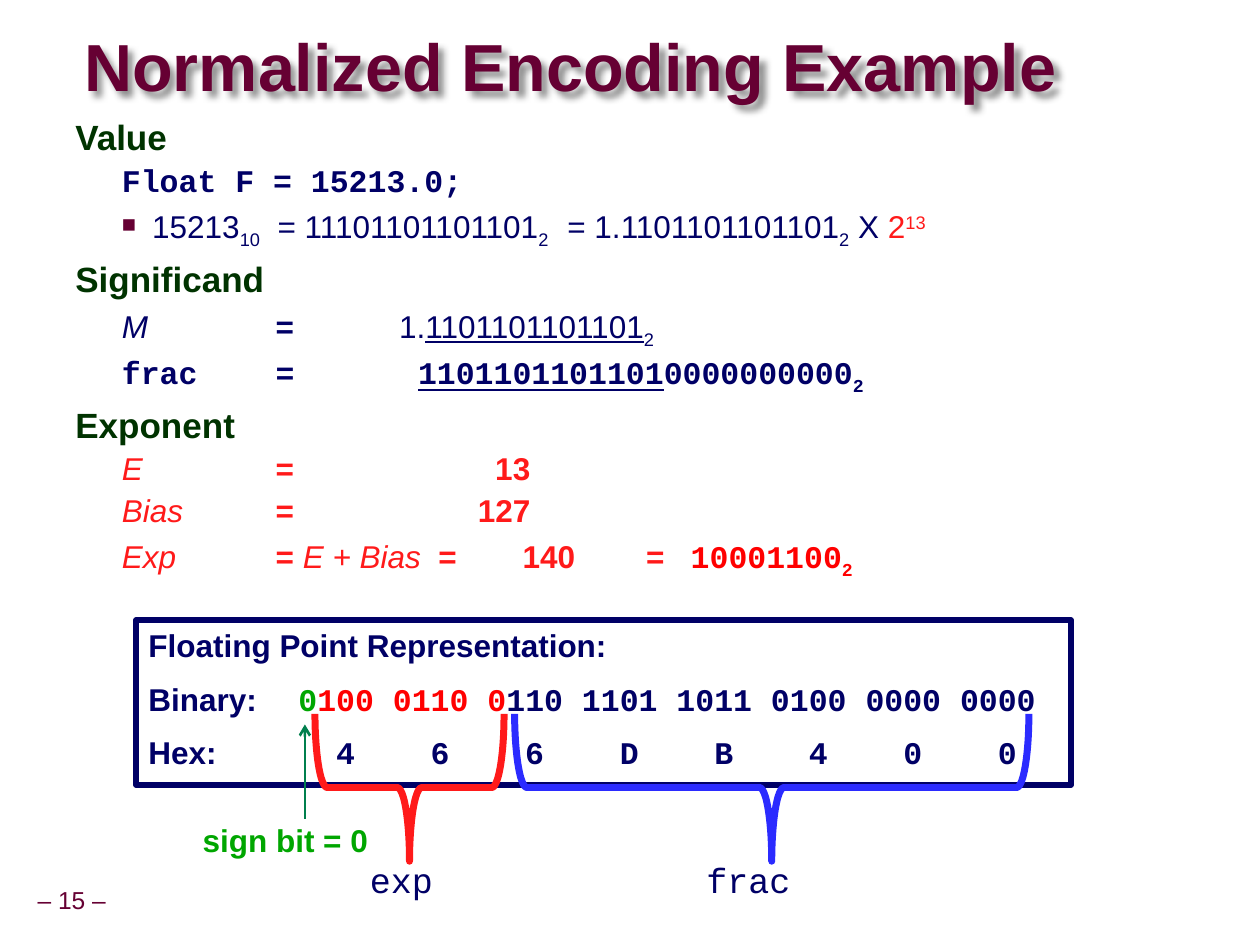
from lxml import etree
from pptx import Presentation
from pptx.dml.color import RGBColor
from pptx.enum.shapes import MSO_CONNECTOR, MSO_SHAPE
from pptx.enum.text import MSO_ANCHOR, PP_ALIGN
from pptx.oxml.ns import qn
from pptx.util import Inches, Pt

TOP, MIDDLE = MSO_ANCHOR.TOP, MSO_ANCHOR.MIDDLE
LEFT, CENTER = PP_ALIGN.LEFT, PP_ALIGN.CENTER
RECT, BRACE = MSO_SHAPE.RECTANGLE, MSO_SHAPE.LEFT_BRACE
STRAIGHT = MSO_CONNECTOR.STRAIGHT

SANS, MONO = "Arial", "Courier New"
MAROON, NAVY, FOREST = "660033", "000066", "003300"
RED, PURE_RED, BLUE = "FF1A1A", "FF0000", "2B2BFF"
GREEN, ARROW_GREEN = "00A600", "007F4D"

SLIDE = (0, 0, 10, 7.5)
HEADING = dict(size=20, name=SANS, color=FOREST, bold=True)
DETAIL = dict(size=18, name=SANS, color=NAVY, bold=True)
CODE = {**DETAIL, "name": MONO}
RESULT = {**DETAIL, "color": RED}
PLAIN, ITALIC = dict(bold=False), dict(bold=False, italic=True)
SUB, PLAIN_SUB = dict(baseline=-25), dict(bold=False, baseline=-25)
UNDER, PLAIN_UNDER = dict(underline=True), dict(bold=False, underline=True)

# (base format, runs, bulleted)
BODY = [
    (HEADING, [("Value", {})], False),
    (CODE, [("Float F = 15213.0;", {})], False),
    (DETAIL, [("15213", PLAIN), ("10", PLAIN_SUB),
              ("  = 11101101101101", PLAIN), ("2  ", PLAIN_SUB),
              (" = 1.1101101101101", PLAIN), ("2", PLAIN_SUB), (" X ", PLAIN),
              ("2", dict(bold=False, color=RED)),
              ("13", dict(bold=False, color=RED, baseline=30))], True),
    (HEADING, [("Significand", {})], False),
    (DETAIL, [("M", ITALIC), (" \t= \t", {}), ("1.", PLAIN),
              ("1101101101101", PLAIN_UNDER), ("2", PLAIN_SUB)], False),
    (CODE, [("frac\t= \t ", {}), ("1101101101101", UNDER),
            ("0000000000", {}), ("2", SUB)], False),
    (HEADING, [("Exponent", {})], False),
    (RESULT, [("E\t", ITALIC), (" \t= \t           13", {})], False),
    (RESULT, [("Bias", ITALIC), (" \t= \t         127", {})], False),
    (RESULT, [("Exp", ITALIC), (" \t= ", {}), ("E + Bias", ITALIC),
              ("  = \t140 \t=   ", {}),
              ("10001100", dict(name=MONO, color=PURE_RED)),
              ("2", dict(name=MONO, color=PURE_RED, baseline=-25))], False),
]
ENCODING = [
    (DETAIL, [("Floating Point Representation:", {})]),
    (DETAIL, [("Binary:  \t", {}), ("0", dict(name=MONO, color=GREEN)),
              ("100 0110 0", dict(name=MONO, color=PURE_RED)),
              ("110 1101 1011 0100 0000 0000", dict(name=MONO))]),
    (DETAIL, [("Hex:", {}),
              ("  \t  4    6    6    D    B    4    0    0 ", dict(name=MONO))]),
]
# label, colour, brace left and width, label left and width (percent of the diagram)
FIELDS = [("exp", RED, 19.14, 20.22, 23.6, 9.57),
          ("frac", BLUE, 40.5, 55, 59.57, 11.86)]


def rgb(value):
    """Turn a hex string into a colour."""
    return RGBColor.from_string(value)


def part(box, left, top, width, height):
    """Return the part of a box given in percent of its size."""
    x, y, w, h = box
    return (x + w * left / 100, y + h * top / 100, w * width / 100, h * height / 100)


def emu(box):
    """Convert a box in inches to slide lengths."""
    return [Inches(value) for value in box]


def add_run(paragraph, text, formats):
    """Add one run and apply its format values."""
    run = paragraph.add_run()
    run.text = text
    for key, value in formats.items():
        if key == "color":
            run.font.color.rgb = rgb(value)
        elif key == "baseline":
            run._r.get_or_add_rPr().set("baseline", str(value * 1000))
        else:
            setattr(run.font, key, Pt(value) if key == "size" else value)


def add_paragraph(frame, base, runs, align=LEFT, spacing=None, before=None, tab=None):
    """Fill the first empty paragraph, or append one, and return it."""
    paragraph = frame.paragraphs[0]
    if paragraph.runs:
        paragraph = frame.add_paragraph()
    paragraph.alignment = align
    if spacing:
        paragraph.line_spacing = spacing
    properties = paragraph._p.get_or_add_pPr()
    if before:
        paragraph.space_before = Pt(1)
        gap = properties.find(qn("a:spcBef"))
        gap.remove(gap[0])
        etree.SubElement(gap, qn("a:spcPct")).set("val", str(before * 1000))
    if tab:
        properties.set("defTabSz", str(Inches(tab)))
    for text, changes in runs:
        add_run(paragraph, text, {**base, **changes})
    return paragraph


def set_frame(shape, anchor=TOP, wrap=True, insets=(0.1, 0.05)):
    """Set anchor, wrapping and insets and return the text frame."""
    frame = shape.text_frame
    across, down = map(Inches, insets)
    for key, value in dict(word_wrap=wrap, vertical_anchor=anchor,
                           margin_left=across, margin_right=across,
                           margin_top=down, margin_bottom=down).items():
        setattr(frame, key, value)
    return frame


def add_label(slide, box, text, formats, **frame_format):
    """Place one centred line of text."""
    label = slide.shapes.add_textbox(*emu(box))
    frame = set_frame(label, wrap=False, **frame_format)
    add_paragraph(frame, formats, [(text, {})], CENTER, 0.9)


def add_outline(slide, kind, box, color, width):
    """Place an unfilled shape with a coloured outline."""
    shape = slide.shapes.add_shape(kind, *emu(box))
    shape.shadow.inherit = False
    shape.fill.background()
    shape.line.color.rgb = rgb(color)
    shape.line.width = Pt(width)
    return shape


def add_title(slide, box):
    """Place the heading with its soft shadow."""
    title = slide.shapes.add_textbox(*emu(box))
    frame = set_frame(title, MIDDLE, insets=(0, 0))
    add_paragraph(frame, dict(size=38, name=SANS, color=MAROON, bold=True),
                  [("Normalized Encoding Example", {})], spacing=0.87)
    properties = title._element.spPr
    effects = etree.SubElement(properties, qn("a:effectLst"))
    shadow = etree.SubElement(effects, qn("a:outerShdw"), blurRad=str(Pt(4)),
                              dist=str(Pt(4)), dir="2700000", algn="tl", rotWithShape="0")
    tint = etree.SubElement(shadow, qn("a:srgbClr"), val="000000")
    etree.SubElement(tint, qn("a:alpha"), val="43000")


def add_body(slide, box):
    """Place the derivation of value, significand and exponent."""
    frame = set_frame(slide.shapes.add_textbox(*emu(box)))
    for base, runs, bulleted in BODY:
        heading = base is HEADING
        paragraph = add_paragraph(frame, base, runs, spacing=0.85 if heading else 0.9,
                                  before=50 if heading else 25, tab=0.98)
        properties = paragraph._p.get_or_add_pPr()
        properties.set("marL", str(Inches(0.24 if heading else 0.61)))
        properties.set("indent", str(Inches(-0.24)))
        if bulleted:
            tint = etree.SubElement(properties, qn("a:buClr"))
            etree.SubElement(tint, qn("a:srgbClr"), val=MAROON)
            etree.SubElement(properties, qn("a:buSzPct"), val="75000")
            etree.SubElement(properties, qn("a:buFont"), typeface=SANS)
            etree.SubElement(properties, qn("a:buChar"), char="■")


def add_arrow(slide, box):
    """Draw an arrow up the left edge of a box."""
    x, y, _, height = box
    arrow = slide.shapes.add_connector(STRAIGHT, *emu((x, y + height, x, y)))
    arrow.line.color.rgb = rgb(ARROW_GREEN)
    arrow.line.width = Pt(1.5)
    etree.SubElement(arrow.line._get_or_add_ln(), qn("a:tailEnd"), type="arrow")
    etree.SubElement(arrow._element.spPr, qn("a:effectLst"))


def add_diagram(slide, box):
    """Place the bit pattern with its marked fields."""
    panel = add_outline(slide, RECT, part(box, 0, 0, 100, 50.8), NAVY, 3)
    frame = set_frame(panel)
    for base, runs in ENCODING:
        add_paragraph(frame, base, runs, before=50, tab=1.19)
    for name, color, left, width, label_left, label_width in FIELDS:
        x, y, across, down = part(box, left, 28.88, width, 45.35)
        upright = (x + (across - down) / 2, y + (down - across) / 2, down, across)
        add_outline(slide, BRACE, upright, color, 4).rotation = 270
        add_label(slide, part(box, label_left, 72.87, label_width, 10.85), name,
                  dict(size=20, name=MONO, color=NAVY))
    add_label(slide, part(box, 5.66, 61.24, 20.62, 14.73), "sign bit = 0",
              {**DETAIL, "color": GREEN})
    add_arrow(slide, part(box, 18.06, 32.17, 0, 29.07))


def build():
    """Build and save the slide."""
    deck = Presentation()
    deck.slide_width, deck.slide_height = emu(SLIDE[2:])
    slide = deck.slides.add_slide(deck.slide_layouts[6])
    add_label(slide, part(SLIDE, 2.4, 93.33, 6.6, 4.13), "– 15 –",
              dict(size=14, name=SANS, color=MAROON), anchor=MIDDLE, insets=(0.05, 0.05))
    add_title(slide, part(SLIDE, 6.7, 3.33, 80.6, 8.4))
    add_body(slide, part(SLIDE, 5, 12.27, 90.3, 22.27))
    add_diagram(slide, part(SLIDE, 10.8, 65.6, 74.2, 34.4))
    deck.save("out.pptx")


build()
